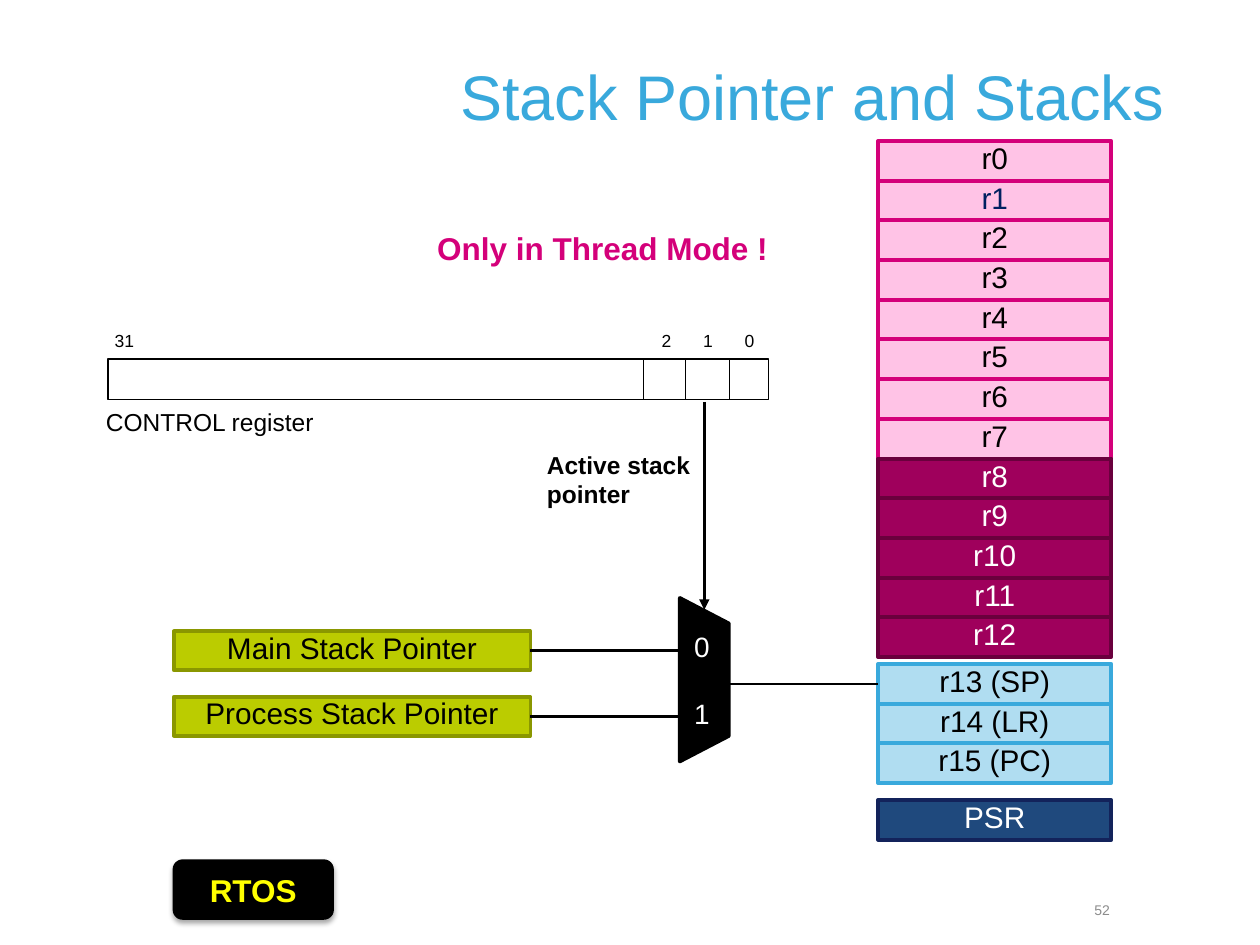
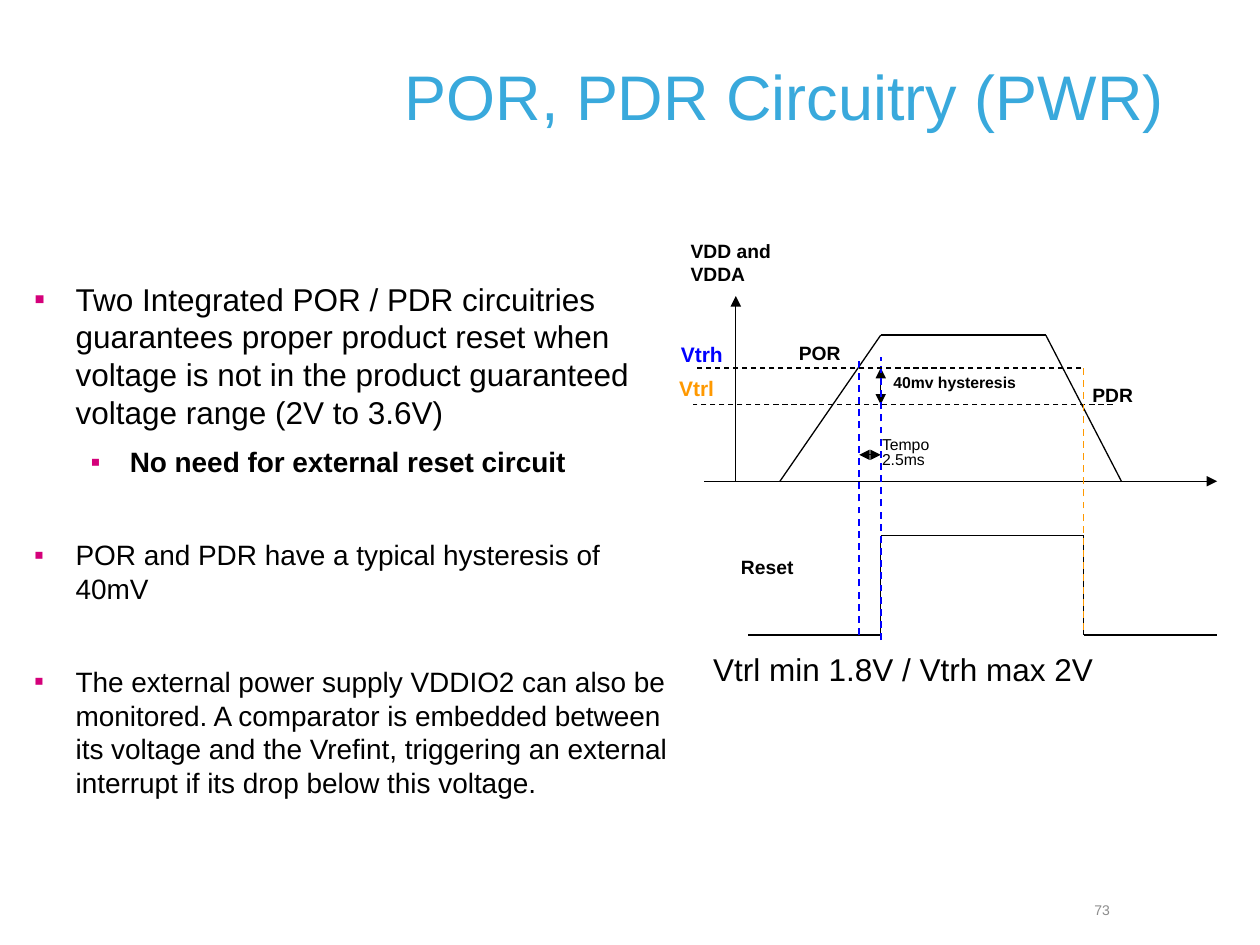
from itertools import pairwise

from lxml.etree import SubElement as Sub
from pptx import Presentation as Deck
from pptx.dml.color import RGBColor as Rgb
from pptx.enum.dml import MSO_LINE_DASH_STYLE as Dash
from pptx.enum.shapes import MSO_CONNECTOR as Link
from pptx.enum.shapes import MSO_SHAPE as Form
from pptx.enum.text import MSO_ANCHOR as Anchor
from pptx.enum.text import PP_ALIGN as Align
from pptx.oxml.ns import qn
from pptx.util import Inches, Pt

WIDE, HIGH = Inches(10), Inches(7.5)
CELL = WIDE / 100
FONT = "Arial"
BLACK, WHITE, GREY = "000000", "FFFFFF", "8C8C8C"
SKY, PINK, BLUE, GOLD = "39A9DC", "D4007A", "0000FF", "FF9900"
LEFT, MID, RIGHT = Align.LEFT, Align.CENTER, Align.RIGHT


def tint(part, shade):
    part.solid()
    part.fore_color.rgb = Rgb.from_string(shade)


def span(*cells):
    return [round(n * CELL) for n in cells]


def shift(box, x, y):
    return box[0] + x, box[1] + y


def style(para, text, size, shade, bold=False, align=LEFT):
    para.alignment = align
    run = para.add_run()
    run.text = text
    run.font.name = FONT
    run.font.size = Pt(size)
    run.font.bold = bold
    run.font.color.rgb = Rgb.from_string(shade)


def setup(frame, wrap, anchor, pad=(0.9, 0.4)):
    frame.word_wrap = wrap
    frame.vertical_anchor = anchor
    side, edge = span(*pad)
    frame.margin_left = frame.margin_right = side
    frame.margin_top = frame.margin_bottom = edge
    return frame


def label(slide, box, text, size, shade=BLACK, bold=False, align=LEFT,
          wrap=True, anchor=Anchor.TOP, pad=(0.9, 0.4), lead=None):
    shape = slide.shapes.add_textbox(*span(*box))
    para = setup(shape.text_frame, wrap, anchor, pad).paragraphs[0]
    para.line_spacing = lead
    style(para, text, size, shade, bold, align)


def block(slide, form, box, fill=None, edge=None, width=1):
    shape = slide.shapes.add_shape(form, *span(*box))
    shape.shadow.inherit = False
    if fill:
        tint(shape.fill, fill)
    else:
        shape.fill.background()
    if edge:
        tint(shape.line.fill, edge)
        shape.line.width = Pt(width)
    else:
        shape.line.fill.background()
    return shape


def slot(slide, box, text, fill, edge, shade=BLACK, width=2.25):
    shape = block(slide, Form.RECTANGLE, box, fill, edge, width)
    para = setup(shape.text_frame, False, Anchor.MIDDLE).paragraphs[0]
    para.line_spacing = 0.8
    style(para, text, 17, shade, align=MID)
    return shape


def wire(slide, start, end, shade=BLACK, width=0.75, dash=False, tips=()):
    line = slide.shapes.add_connector(Link.STRAIGHT, *span(*start, *end))
    tint(line.line.fill, shade)
    line.line.width = Pt(width)
    if dash:
        line.line.dash_style = Dash.DASH
    for tip in tips:
        Sub(line.line._get_or_add_ln(), qn(f"a:{tip}End"), type="triangle")
    Sub(line.element.spPr, qn("a:effectLst"))
    return line


def chain(slide, spots):
    for start, end in pairwise(spots):
        wire(slide, start, end)


def base(deck, title, page):
    slide = deck.slides.add_slide(deck.slide_layouts[6])
    label(slide, (5, 1.3, 88.3, 12.5), title, 36, SKY,
          align=RIGHT, anchor=Anchor.MIDDLE)
    label(slide, (50.8, 71.6, 37.3, 1.3), page, 8, GREY,
          align=RIGHT, anchor=Anchor.MIDDLE, pad=(0, 0))
    return slide


def bank(slide, box):
    left, top, wide, row = box
    groups = [
        (0, [f"r{n}" for n in range(8)], "FFC3E6", PINK, BLACK),
        (25.2, [f"r{n}" for n in range(8, 13)], "9F005C", "6A003D", WHITE),
        (41.5, ["r13 (SP)", "r14 (LR)", "r15 (PC)"], "B0DDF1", SKY, BLACK),
        (52.3, ["PSR"], "1F497D", "13235B", WHITE),
    ]
    slots = {}
    for drop, names, fill, edge, shade in groups:
        for n, name in enumerate(names):
            spot = (left, top + drop + n * row, wide, row)
            ink = "002060" if name == "r1" else shade
            slots[name] = slot(slide, spot, name, fill, edge, ink)
    return slots["r13 (SP)"]


def control(slide, box):
    left, top, wide, high = box
    block(slide, Form.RECTANGLE, box, edge=BLACK)
    label(slide, (left - 1.1, top + 3.4, 18.6, 3.4), "CONTROL register", 14, wrap=False)
    marks = [("31", -0.4, 3.6)]
    marks += [(str(2 - n), 43 + 3.3 * n, 2.8) for n in range(3)]
    for text, x, size in marks:
        label(slide, (left + x, top - 2.7, size, 2.7), text, 10, wrap=False)
    for x in (42.5, 45.8, 49.3):
        wire(slide, shift(box, x, 0), shift(box, x, high))
    wire(slide, shift(box, 47.3, 3.4), shift(box, 47.3, 19.9), width=1.5, tips=["tail"])
    label(slide, (left + 33.9, top + 6.8, 16.2, 5.7), "Active stack pointer", 14, bold=True)
    label(slide, (left + 25.2, top - 10.7, 28.5, 4), "Only in Thread Mode !", 18,
          PINK, True, wrap=False)


def choice(slide, box, target):
    left, top, wide, high = box
    long, thick = 13, 3.9
    mid = left + 42.1
    mux = block(slide, Form.TRAPEZOID,
                (mid - long / 2, top + 1.9, long, thick), BLACK, BLACK, 2)
    mux.rotation = 90
    mux.adjustments[0] = 0.52
    frame = setup(mux.text_frame, True, Anchor.MIDDLE)
    mux.element.find(".//" + qn("a:bodyPr")).set("vert", "vert270")
    style(frame.paragraphs[0], "0", 16, WHITE, align=MID)
    last = frame.add_paragraph()
    last.space_before = Pt(19)
    style(last, "1", 16, WHITE, align=MID)
    for n, name in enumerate(["Main", "Process"]):
        y = top + 5.2 * n
        source = slot(slide, (left, y, wide, high), f"{name} Stack Pointer",
                      "BBCC00", "8A9700", width=2)
        line = wire(slide, (left + wide, y + high / 2),
                    (mid - thick / 2, y + high / 2), width=1.5)
        line.begin_connect(source, 3)
    y = (target.top + target.height / 2) / CELL
    line = wire(slide, (mid + thick / 2, y), (target.left / CELL, y), width=1.5)
    line.end_connect(target, 1)


def badge(slide, box):
    shape = block(slide, Form.ROUNDED_RECTANGLE, box, BLACK)
    glow = Sub(shape.element.spPr.find(qn("a:effectLst")), qn("a:outerShdw"),
               blurRad=str(Pt(3.1)), dist=str(Pt(1.8)), dir="5400000", rotWithShape="0")
    hue = Sub(glow, qn("a:srgbClr"), val=BLACK)
    Sub(hue, qn("a:alpha"), val="35000")
    frame = setup(shape.text_frame, True, Anchor.MIDDLE)
    style(frame.paragraphs[0], "RTOS", 18, "FFFF00", True, MID)


def notes(slide, box):
    items = [
        ("Two Integrated POR / PDR circuitries guarantees proper product reset when "
         "voltage is not in the product guaranteed voltage range (2V to 3.6V)", 0, 18, None),
        ("No need for external reset circuit", 1, 16, 8),
        ("POR and PDR have a typical hysteresis of 40mV", 0, 16, 34),
        ("The external power supply VDDIO2 can also be monitored. A comparator is "
         "embedded between its voltage and the Vrefint, triggering an external "
         "interrupt if its drop below this voltage.", 0, 16, 34),
    ]
    frame = setup(slide.shapes.add_textbox(*span(*box)).text_frame, True, Anchor.TOP)
    for n, (text, level, size, gap) in enumerate(items):
        para = frame.add_paragraph() if n else frame.paragraphs[0]
        para.level = level
        props = para._p.get_or_add_pPr()
        edge, hang = span(7.6, -3.1) if level else span(3.3, -3.3)
        props.set("marL", str(edge))
        props.set("indent", str(hang))
        Sub(Sub(props, qn("a:buClr")), qn("a:srgbClr"), val=PINK)
        Sub(props, qn("a:buFont"), typeface=FONT)
        Sub(props, qn("a:buChar"), char="▪")
        if gap:
            para.space_before = Pt(gap)
        style(para, text, size, BLACK, bold=level == 1)


def timing(slide, box):
    por, rise, fall, end = 17.2, 18.9, 35, 45.6
    peak, high, low, floor = 8.6, 11.2, 14.1, 20.2
    up, down = 24.5, 32.4
    both = ("head", "tail")

    def at(x, y):
        return shift(box, x, y)

    wire(slide, at(por, 18.1), at(rise, 18.1), tips=both)
    wire(slide, at(7.4, 5.5), at(7.4, floor), tips=["head"])
    wire(slide, at(4.9, floor), at(end, floor), tips=["tail"])
    chain(slide, [at(10.9, floor), at(rise, peak), at(32, peak), at(38, floor)])
    wire(slide, at(37.3, low), at(4, low), dash=True)
    wire(slide, at(rise, high), at(rise, low), tips=both)
    chain(slide, [at(8.4, down), at(rise, down), at(rise, up),
                  at(fall, up), at(fall, down), at(end, down)])
    for x, foot, head, shade in [(por, down, 10.4, BLUE), (fall, 32, high, GOLD),
                                 (rise, 32.8, 10.3, BLUE)]:
        wire(slide, at(x, foot), at(x, head), shade, 1, True)
    wire(slide, at(34.8, high), at(4, high), dash=True)

    tags = [
        ("VDD and VDDA", 2.9, 0.6, 10.8, 4.6, 11, BLACK, LEFT),
        ("POR", 11.5, 8.7, 6.5, 2.7, 11, BLACK, LEFT),
        ("PDR", 34.8, 12, 11.5, 2.7, 11, BLACK, LEFT),
        ("40mv hysteresis", 19, 11.2, 14, 2.4, 9, BLACK, LEFT),
        ("Reset", 6.9, 25.7, 7.9, 2.7, 11, BLACK, LEFT),
        ("Vtrh", 0.7, 8.7, 8, 2.9, 12, BLUE, MID),
        ("Vtrl", 2, 11.4, 6.7, 2.9, 12, GOLD, LEFT),
    ]
    for text, x, y, wide, tall, size, shade, align in tags:
        label(slide, (*at(x, y), wide, tall), text, size, shade, True, align)
    label(slide, (*at(18.1, 16.4), 6.5, 3.3), "Tempo 2.5ms", 9, lead=0.8)
    label(slide, (*at(4.7, 33.2), 32.2, 4), "Vtrl min 1.8V / Vtrh max 2V", 18, wrap=False)


def stacks(deck):
    slide = base(deck, "Stack Pointer and Stacks", "52")
    target = bank(slide, (69.7, 11.2, 18.5, 3.15))
    choice(slide, (13.8, 50.1, 28.3, 3.1), target)
    control(slide, (8.6, 28.5, 52.4, 3.2))
    badge(slide, (13.7, 68.2, 12.8, 4.8))


def power(deck):
    slide = base(deck, "POR, PDR Circuitry (PWR)", "73")
    notes(slide, (1.8, 21.8, 52.1, 43.7))
    timing(slide, (51, 18))


def main():
    deck = Deck()
    deck.slide_width, deck.slide_height = WIDE, HIGH
    stacks(deck)
    power(deck)
    deck.save("out.pptx")


if __name__ == "__main__":
    main()
